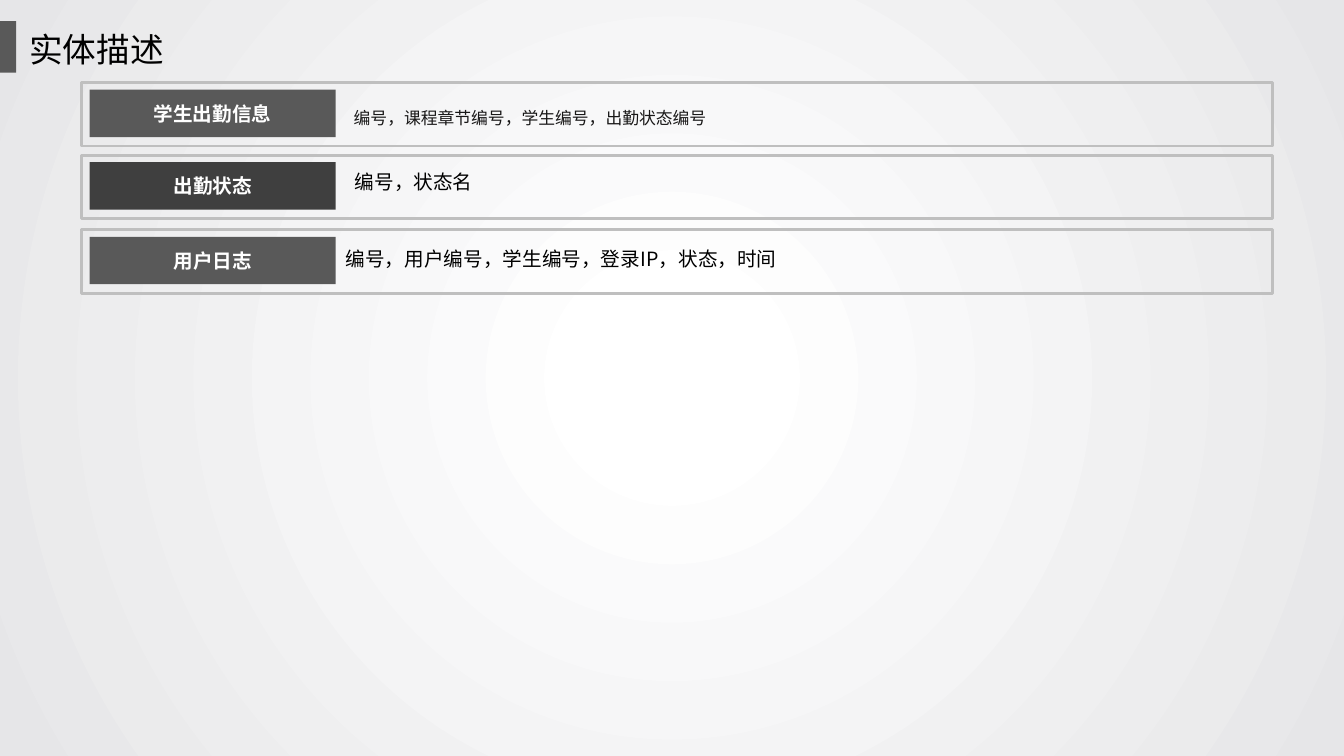
from dataclasses import dataclass

from lxml.etree import SubElement
from pptx import Presentation
from pptx.dml.color import RGBColor
from pptx.enum.shapes import MSO_SHAPE as Shape
from pptx.enum.text import MSO_ANCHOR as Anchor, MSO_AUTO_SIZE as Auto, PP_ALIGN as Align
from pptx.oxml.ns import qn
from pptx.util import Inches, Pt

FONT = "Noto Sans CJK SC"
HUES = {
    "white": "FFFFFF", "edge": "E6E6E8", "frame": "BFBFBF",
    "grey": "595959", "dark": "3F3F3F", "ink": "181717", "black": "000000",
}


@dataclass
class Box:
    left: float
    top: float
    width: float
    height: float

    def place(self) -> list:
        return [Inches(n) for n in (self.left, self.top, self.width, self.height)]


@dataclass
class Entity:
    name: str
    top: float
    hue: str
    fields: str
    note: Box
    size: int = 14
    ink: str = "black"
    lines: float | None = None


ENTITIES = [
    Entity("学生出勤信息", 0.82, "grey", "编号，课程章节编号，学生编号，出勤状态编号",
           Box(3.41, 0.96, 9.21, 0.34), 12, "ink", 1.3),
    Entity("出勤状态", 1.54, "dark", "编号，状态名", Box(3.42, 1.64, 9.11, 0.34)),
    Entity("用户日志", 2.28, "grey", "编号，用户编号，学生编号，登录IP，状态，时间",
           Box(3.33, 2.4, 6.67, 0.34)),
]


def rgb(hue: str) -> RGBColor:
    return RGBColor.from_string(HUES[hue])


def write(shape, text: str, size: int, hue: str, bold: bool = False,
          align=Align.LEFT, anchor=Anchor.TOP, wrap: bool = True) -> None:
    frame = shape.text_frame
    frame.word_wrap, frame.vertical_anchor = wrap, anchor
    para = frame.paragraphs[0]
    para.text, para.alignment = text, align
    font = para.font
    font.size, font.bold, font.color.rgb = Pt(size), bold, rgb(hue)
    font.name = FONT
    # East Asian face follows the Latin one
    props = para._p.find(".//" + qn("a:defRPr"))
    SubElement(props, qn("a:ea")).set("typeface", FONT)


def add_rect(slide, box: Box, fill: str | None = None, line: str | None = None):
    rect = slide.shapes.add_shape(Shape.RECTANGLE, *box.place())
    rect.shadow.inherit = False
    if fill:
        rect.fill.solid()
        rect.fill.fore_color.rgb = rgb(fill)
    else:
        rect.fill.background()
    if line:
        rect.line.color.rgb, rect.line.width = rgb(line), Pt(2)
    else:
        rect.line.fill.background()
    return rect


def add_row(slide, row: Entity) -> None:
    add_rect(slide, Box(0.81, row.top, 11.81, 0.63), line="frame")
    note = slide.shapes.add_textbox(*row.note.place())
    write(note, row.fields, row.size, row.ink)
    note.text_frame.auto_size = Auto.SHAPE_TO_FIT_TEXT
    if row.lines:
        note.text_frame.paragraphs[0].line_spacing = row.lines
    label = add_rect(slide, Box(0.89, row.top + 0.07, 2.44, 0.47), fill=row.hue)
    write(label, row.name, 14, "white", True, Align.CENTER, Anchor.MIDDLE, False)


def paint(slide) -> None:
    fill = slide.background.fill
    fill.gradient()
    for stop, (spot, hue) in zip(fill.gradient_stops, [(0.09, "white"), (1, "edge")]):
        stop.position, stop.color.rgb = spot, rgb(hue)
    # Turn the linear blend into a circle round the centre
    grad = slide.element.find(".//" + qn("a:gradFill"))
    grad.remove(grad.find(qn("a:lin")))
    ring = SubElement(grad, qn("a:path"))
    ring.set("path", "circle")
    core = SubElement(ring, qn("a:fillToRect"))
    for side in "ltrb":
        core.set(side, "50000")


def main() -> None:
    deck = Presentation()
    deck.slide_width, deck.slide_height = Inches(13.33), Inches(7.5)
    slide = deck.slides.add_slide(deck.slide_layouts[5])
    paint(slide)

    # Heading with its side bar
    title = slide.shapes.title
    title.left, title.top, title.width, title.height = Box(0.19, 0.24, 2.89, 0.51).place()
    write(title, "实体描述", 24, "black")
    title.text_frame.auto_size = Auto.SHAPE_TO_FIT_TEXT
    add_rect(slide, Box(0, 0.21, 0.16, 0.51), fill="grey")

    # One framed row per entity
    for row in ENTITIES:
        add_row(slide, row)
    deck.save("out.pptx")


if __name__ == "__main__":
    main()
